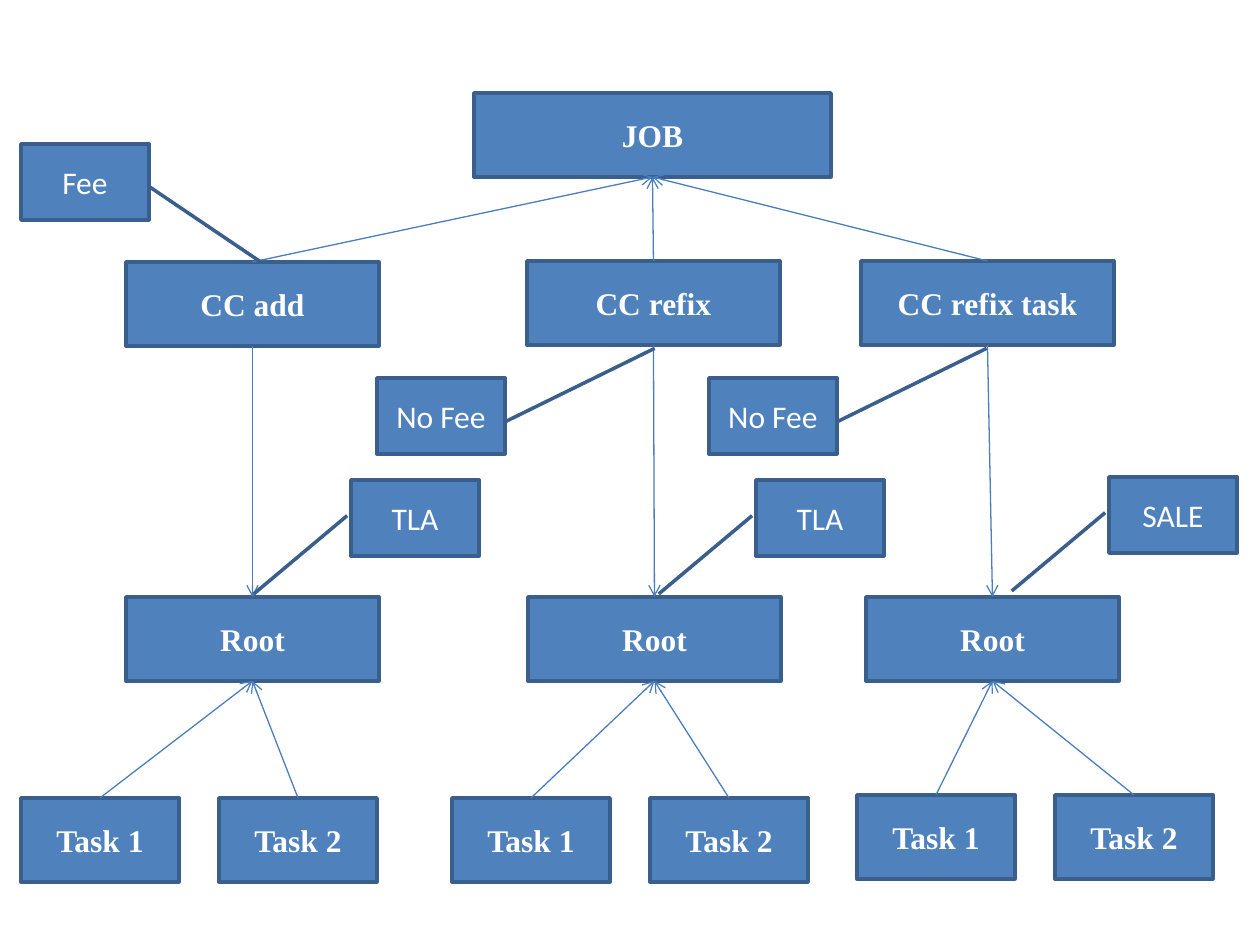
from lxml.etree import SubElement
from pptx import Presentation
from pptx.dml.color import RGBColor
from pptx.enum.shapes import MSO_CONNECTOR, MSO_SHAPE
from pptx.enum.text import MSO_ANCHOR, PP_ALIGN
from pptx.oxml.ns import qn
from pptx.util import Emu, Pt

PX = 914400 // 126
BOX_FILL = RGBColor(0x4F, 0x81, 0xBD)
BOX_LINE = RGBColor(0x3A, 0x5F, 0x8C)
ARROW_LINE = RGBColor(0x4B, 0x7E, 0xBC)
WHITE = RGBColor(0xFF, 0xFF, 0xFF)

NODE_FONT = {"name": "Times New Roman", "size": Pt(18), "bold": True}
LABEL_FONT = {"name": "Calibri", "size": Pt(18), "bold": False}
NODE_HEIGHT, NODE_WIDTH, TASK_WIDTH = 84, 253, 158
LABEL_SIZE = (128, 76)
TASK_STEP = 198
TOP, BOTTOM = 0, 2  # connection sites of a rectangle

JOB = ("JOB", 474, 93, 357)
# step name, step left and top, root left, first task left and top
BRANCHES = [
    ("CC add", 126, 262, 126, 21, 798),
    ("CC refix", 527, 261, 528, 452, 798),
    ("CC refix task", 861, 261, 866, 857, 795),
]
ROOT_TOP = 597
TASKS = ["Task 1", "Task 2"]

# leader line as start y, start x, end y, end x in shares of the label
TO_ROOT = (0.47, -0.03, 1.5, -0.76)
TO_ADD = (0.57, 1.01, 1.56, 1.88)
TO_REFIX = (0.57, 1.01, -0.39, 2.17)
LABELS = [
    ("TLA", 351, 480, TO_ROOT),
    ("TLA", 756, 480, TO_ROOT),
    ("SALE", 1109, 477, TO_ROOT),
    ("Fee", 21, 144, TO_ADD),
    ("No Fee", 377, 378, TO_REFIX),
    ("No Fee", 709, 378, TO_REFIX),
]


def add_box(slide, kind, text, frame, font_format):
    """Add a filled, outlined shape with centred white text."""
    box = slide.shapes.add_shape(kind, *(Emu(v * PX) for v in frame))
    box.shadow.inherit = False
    box.fill.solid()
    box.fill.fore_color.rgb = BOX_FILL
    box.line.color.rgb = BOX_LINE
    box.line.width = Pt(2)
    box.text_frame.word_wrap = True
    box.text_frame.vertical_anchor = MSO_ANCHOR.MIDDLE
    paragraph = box.text_frame.paragraphs[0]
    paragraph.alignment = PP_ALIGN.CENTER
    run = paragraph.add_run()
    run.text = text
    run.font.color.rgb = WHITE
    for key, value in font_format.items():
        setattr(run.font, key, value)
    return box


def add_node(slide, text, left, top, width=NODE_WIDTH):
    """Add one box of the tree."""
    frame = (left, top, width, NODE_HEIGHT)
    return add_box(slide, MSO_SHAPE.RECTANGLE, text, frame, NODE_FONT)


def add_arrow(slide, source, source_site, target, target_site):
    """Join two boxes with a thin arrow."""
    arrow = slide.shapes.add_connector(MSO_CONNECTOR.STRAIGHT, 0, 0, 0, 0)
    arrow.begin_connect(source, source_site)
    arrow.end_connect(target, target_site)
    arrow.line.color.rgb = ARROW_LINE
    arrow.line.width = Pt(0.75)
    SubElement(arrow.line._get_or_add_ln(), qn("a:tailEnd"), type="arrow")
    SubElement(arrow._element.spPr, qn("a:effectLst"))


def add_label(slide, text, left, top, leader):
    """Add a callout whose leader line points at the tree."""
    label = add_box(slide, MSO_SHAPE.LINE_CALLOUT_1, text,
                    (left, top, *LABEL_SIZE), LABEL_FONT)
    for index, share in enumerate(leader):
        label.adjustments[index] = share


def add_branch(slide, job, name, left, top, root_left, task_left, task_top):
    """Add a step, its root and its tasks, with their arrows."""
    step = add_node(slide, name, left, top)
    root = add_node(slide, "Root", root_left, ROOT_TOP)
    add_arrow(slide, step, TOP, job, BOTTOM)
    add_arrow(slide, step, BOTTOM, root, TOP)
    for index, task_name in enumerate(TASKS):
        task = add_node(slide, task_name, task_left + index * TASK_STEP,
                        task_top, TASK_WIDTH)
        add_arrow(slide, task, TOP, root, BOTTOM)


prs = Presentation()
prs.slide_width, prs.slide_height = Emu(1260 * PX), Emu(945 * PX)
slide = prs.slides.add_slide(prs.slide_layouts[6])
job = add_node(slide, *JOB)
for branch in BRANCHES:
    add_branch(slide, job, *branch)
for label in LABELS:
    add_label(slide, *label)
prs.save("out.pptx")
